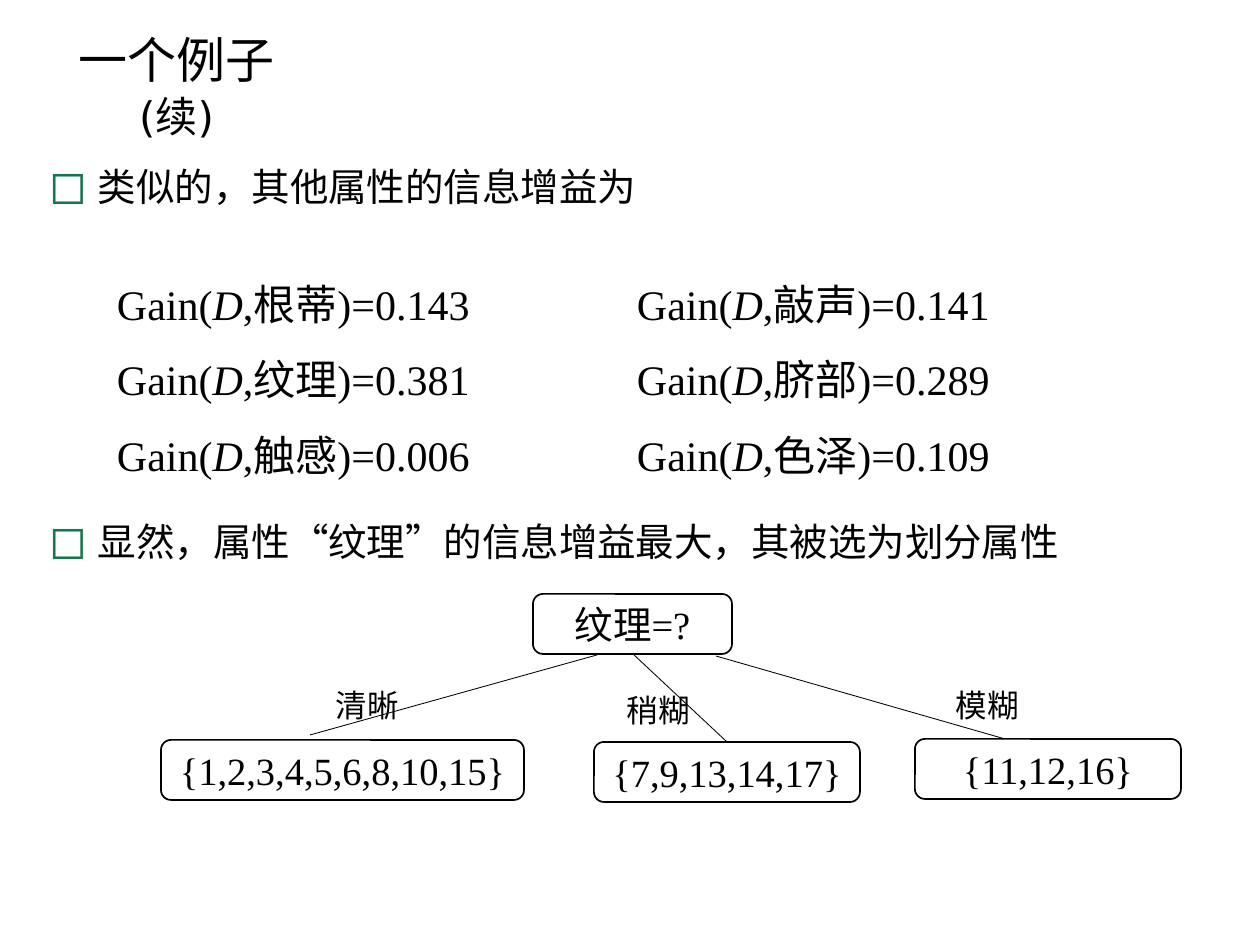
from dataclasses import dataclass

from lxml import etree
from pptx import Presentation, util as u
from pptx.dml.color import RGBColor
from pptx.enum import shapes, text
from pptx.oxml.ns import qn


@dataclass(frozen=True)
class Theme:
    ink: RGBColor = RGBColor(0, 0, 0)
    paper: RGBColor = RGBColor(255, 255, 255)
    bullet: str = "15754D"
    title: int = 28
    formula: int = 24
    body: int = 22
    label: int = 18
    chinese: str = "Noto Sans CJK SC"
    sans: str = "DejaVu Sans"
    serif: str = "Times New Roman"


theme = Theme()
PX = u.Inches(1) / 126


def write(para, words, size, latin, italic=False):
    """Add a run with separate Latin and Chinese fonts."""
    span = para.add_run()
    span.text = words
    span.font.size = u.Pt(size)
    span.font.name = latin
    span.font.italic = italic
    span.font.color.rgb = theme.ink
    east = etree.SubElement(span.font._element, qn("a:ea"))
    east.set("typeface", theme.chinese)


def add_box(left, top, width, height, rounded=False):
    """Add an unpadded text box, or a rounded node with centred text."""
    frame = [u.Emu(round(n * PX)) for n in (left, top, width, height)]
    if rounded:
        box = page.shapes.add_shape(shapes.MSO_SHAPE.ROUNDED_RECTANGLE, *frame)
        box.shadow.inherit = False
        box.fill.solid()
        box.fill.fore_color.rgb = theme.paper
        box.line.color.rgb = theme.ink
        box.line.width = u.Pt(0.96)
    else:
        box = page.shapes.add_textbox(*frame)
    body = box.text_frame
    body.margin_left = body.margin_right = body.margin_top = body.margin_bottom = 0
    body.word_wrap = True
    body.vertical_anchor = text.MSO_ANCHOR.MIDDLE
    return body


deck = Presentation()
deck.slide_width, deck.slide_height = u.Inches(10), u.Inches(7.5)
page = deck.slides.add_slide(deck.slide_layouts[6])

# Title on two lines
title = add_box(29, 30, 295, 124)
title.vertical_anchor = text.MSO_ANCHOR.TOP
heading, continued = title.paragraphs[0], title.add_paragraph()
write(heading, "一个例子", theme.title, theme.chinese)
write(continued, "(续)", theme.formula, theme.sans)
continued.line_spacing = u.Pt(30)
for para in (heading, continued):
    para.alignment = text.PP_ALIGN.CENTER

# Bulleted statements
statements = [
    (186, "类似的，其他属性的信息增益为"),
    (541, "显然，属性“纹理”的信息增益最大，其被选为划分属性"),
]
for middle, words in statements:
    para = add_box(47, middle - 30, 1080, 60).paragraphs[0]
    write(para, words, theme.body, theme.chinese)
    layout = para._p.get_or_add_pPr()
    layout.set("marL", str(round(51 * PX)))
    layout.set("indent", str(round(-49 * PX)))
    colour = etree.SubElement(layout, qn("a:buClr"))
    etree.SubElement(colour, qn("a:srgbClr")).set("val", theme.bullet)
    etree.SubElement(layout, qn("a:buSzPct")).set("val", "120000")
    etree.SubElement(layout, qn("a:buFont")).set("typeface", theme.sans)
    etree.SubElement(layout, qn("a:buChar")).set("char", "◻")

# Information gains, two to a line
gains = [
    (("根蒂", "0.143"), ("敲声", "0.141")),
    (("纹理", "0.381"), ("脐部", "0.289")),
    (("触感", "0.006"), ("色泽", "0.109")),
]
formulas = add_box(117, 253, 933, 228)
formulas.vertical_anchor = text.MSO_ANCHOR.TOP
for row, pair in enumerate(gains):
    para = formulas.add_paragraph() if row else formulas.paragraphs[0]
    para.line_spacing = u.Pt(43.2)
    tabs = etree.SubElement(para._p.get_or_add_pPr(), qn("a:tabLst"))
    stop = etree.SubElement(tabs, qn("a:tab"))
    stop.set("pos", str(round(520 * PX)))
    stop.set("algn", "l")
    for column, (feature, gain) in enumerate(pair):
        write(para, "\tGain(" if column else "Gain(", theme.formula, theme.serif)
        write(para, "D", theme.formula, theme.serif, italic=True)
        write(para, f",{feature})={gain}", theme.formula, theme.serif)

# Decision tree: branches, then nodes, then branch labels
branches = [(597, 655, 310, 735), (633, 654, 727, 742), (716, 656, 1019, 743)]
for ends in branches:
    branch = page.shapes.add_connector(
        shapes.MSO_CONNECTOR.STRAIGHT, *[u.Emu(round(n * PX)) for n in ends])
    branch.line.color.rgb = theme.ink
    branch.line.width = u.Pt(0.48)
    etree.SubElement(branch._element.spPr, qn("a:effectLst"))

nodes = [
    (533, 594, 199, "纹理=?"),
    (161, 740, 363, "{1,2,3,4,5,6,8,10,15}"),
    (594, 742, 266, "{7,9,13,14,17}"),
    (915, 739, 266, "{11,12,16}"),
]
for left, top, width, words in nodes:
    para = add_box(left, top, width, 60, rounded=True).paragraphs[0]
    para.alignment = text.PP_ALIGN.CENTER
    write(para, words, theme.body, theme.serif)

for centre, middle, words in [(367, 705, "清晰"), (658, 710, "稍糊"), (987, 705, "模糊")]:
    para = add_box(centre - 40, middle - 23, 80, 46).paragraphs[0]
    para.alignment = text.PP_ALIGN.CENTER
    write(para, words, theme.label, theme.chinese)

deck.save("out.pptx")
